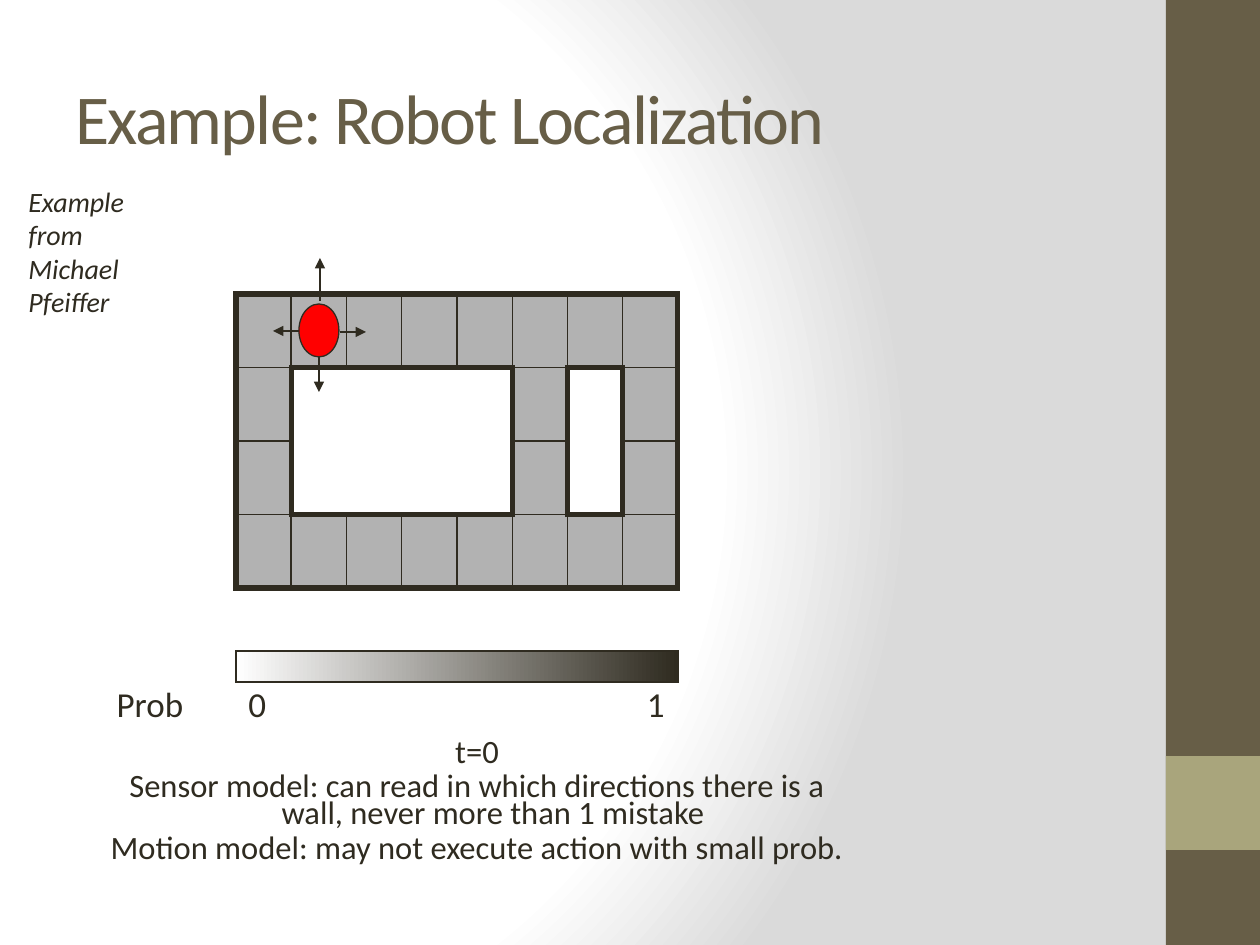
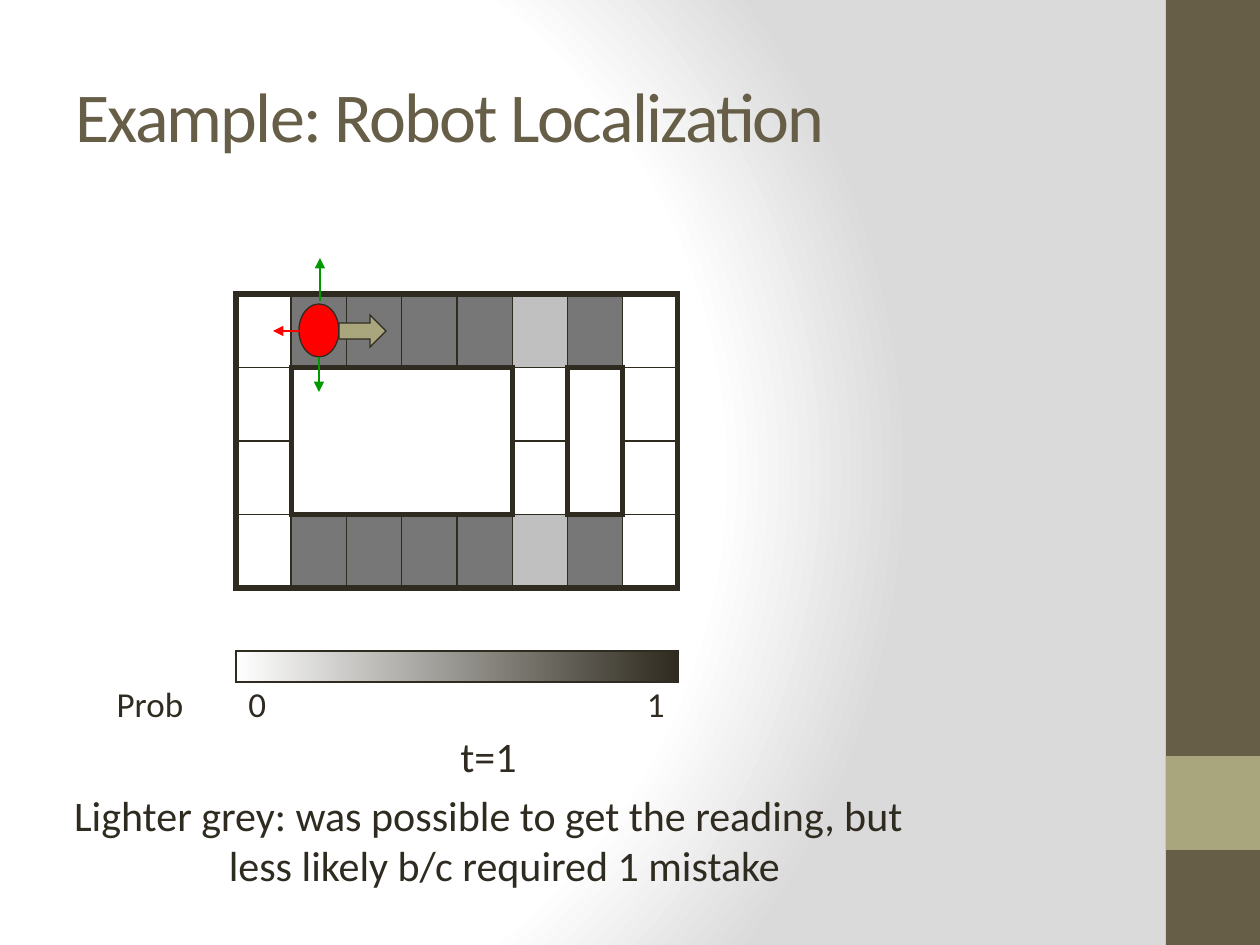
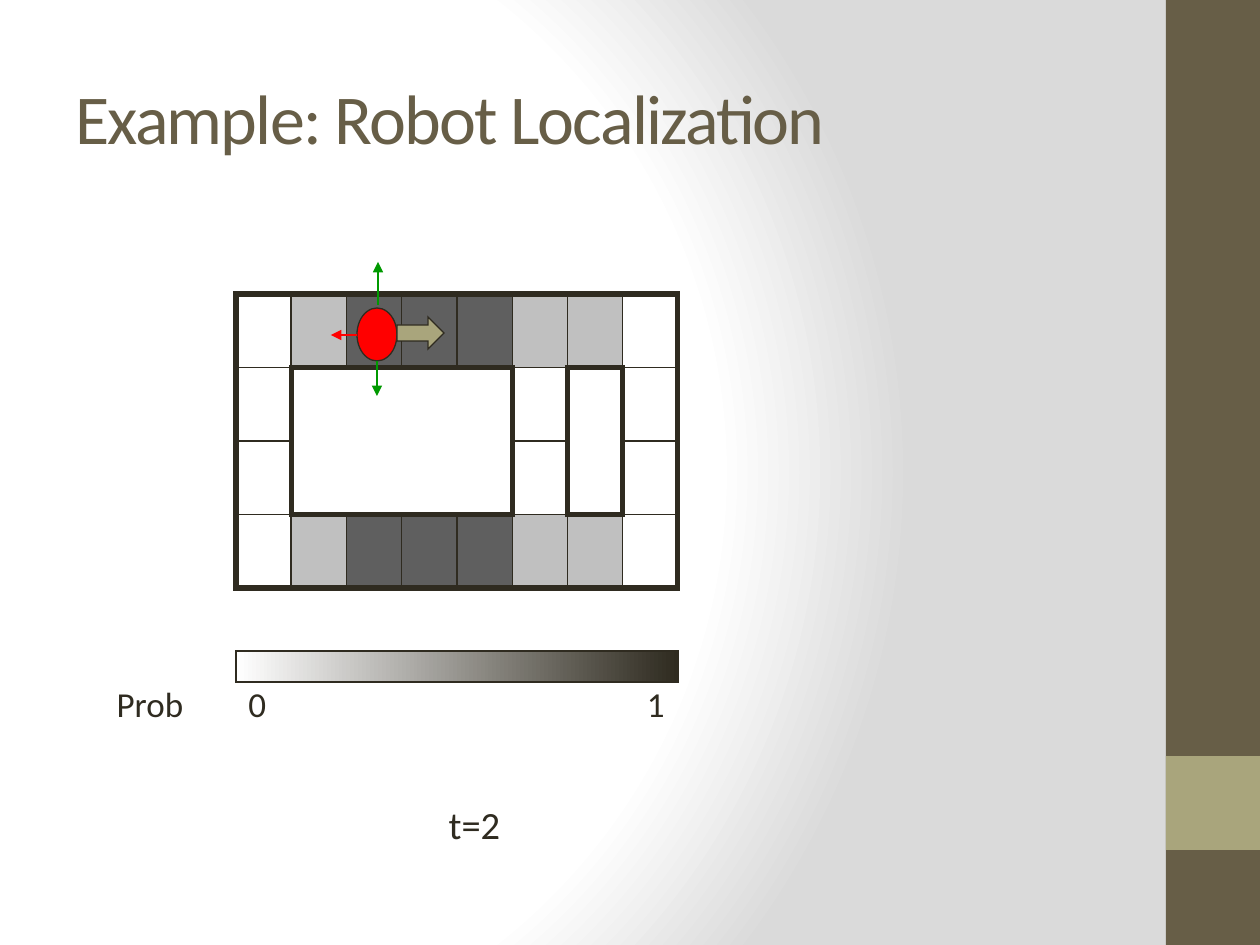
from lxml import etree
from pptx import Presentation
from pptx.dml.color import RGBColor
from pptx.enum.shapes import MSO_CONNECTOR, MSO_SHAPE
from pptx.enum.text import MSO_ANCHOR, PP_ALIGN
from pptx.oxml import parse_xml
from pptx.oxml.ns import nsdecls, qn
from pptx.util import Pt

RECT, OVAL, BLOCK_ARROW = MSO_SHAPE.RECTANGLE, MSO_SHAPE.OVAL, MSO_SHAPE.RIGHT_ARROW
STRAIGHT = MSO_CONNECTOR.STRAIGHT
LEFT, CENTER, RIGHT = PP_ALIGN.LEFT, PP_ALIGN.CENTER, PP_ALIGN.RIGHT
TOP, MIDDLE = MSO_ANCHOR.TOP, MSO_ANCHOR.MIDDLE

PX = 914400 / 126
FONT = "Calibri"
COLORS = {
    "ink": "2F2B20", "brown": "675E47", "olive": "A9A57C", "white": "FFFFFF",
    "backdrop": "DADADA", "red": "FF0000", "green": "009900",
    "even": "B2B2B2", "light": "C0C0C0", "dark": "777777", "darker": "5F5F5F",
}
SHADES = {"e": "even", "l": "light", "d": "dark", "D": "darker", "-": None}
WALL = "#"

GRID_X, GRID_Y, GRID_W, GRID_H = 236, 294, 442, 294
COLUMNS, ROWS = 8, 4
COLUMN_X = [GRID_X + GRID_W * i / COLUMNS for i in range(COLUMNS + 1)]
ROW_Y = [GRID_Y + GRID_H * i / ROWS for i in range(ROWS + 1)]

SLIDES = [
    {
        "title_y": 38, "edge_row": "eeeeeeee", "middle_row": "e####e#e",
        "robot": (299, 304), "sensor": "ink", "blocked": "ink", "move_y": None,
        "caption": ["t=0",
                    "Sensor model: can read in which directions there is a wall, "
                    "never more than 1 mistake",
                    "Motion model: may not execute action with small prob."],
        "caption_at": (69, 735, 801, 175),
        "caption_format": {"size": 18.6, "line_spacing": 0.7, "before": 4},
        "credit": "Example from Michael Pfeiffer",
    },
    {
        "title_y": 35, "edge_row": "-ddddld-", "middle_row": "-####-#-",
        "robot": (299, 304), "sensor": "green", "blocked": "red", "move_y": 315,
        "caption": ["t=1",
                    "Lighter grey: was possible to get the reading, but less likely "
                    "b/c required 1 mistake"],
        "caption_at": (40, 724, 882, 165),
        "caption_format": {"size": 24, "before": 5},
    },
    {
        "title_y": 38, "edge_row": "-lDDDll-", "middle_row": "-####-#-",
        "robot": (357, 308), "sensor": "green", "blocked": "red", "move_y": 317,
        "caption": ["t=2"],
        "caption_at": (65, 795, 804, 126),
        "caption_format": {"size": 22, "before": 5},
    },
]


def add_text(slide, lines, x, y, w, h, size=20, color="ink", align=LEFT, anchor=TOP,
             wrap=True, italic=False, tracking=None, line_spacing=None, before=0,
             margin=0, indent=0):
    box = slide.shapes.add_textbox(*[round(v * PX) for v in (x, y, w, h)])
    frame = box.text_frame
    frame.word_wrap = wrap
    frame.vertical_anchor = anchor
    for i, line in enumerate(lines):
        para = frame.paragraphs[0] if i == 0 else frame.add_paragraph()
        para.alignment = align
        para.space_before = Pt(before)
        if line_spacing:
            para.line_spacing = line_spacing
        if margin:
            properties = para._p.get_or_add_pPr()
            properties.set("marL", str(round(margin * PX)))
            properties.set("indent", str(round(indent * PX)))
        span = para.add_run()
        span.text = line
        span.font.name = FONT
        span.font.size = Pt(size)
        span.font.italic = italic
        span.font.color.rgb = RGBColor.from_string(COLORS[color])
        if tracking:
            span.font._element.set("spc", str(tracking))


def add_box(slide, preset, x, y, w, h, fill=None, weight=0.75):
    """Add a shape; no fill color leaves it open, zero weight leaves out the line."""
    shape = slide.shapes.add_shape(preset, *[round(v * PX) for v in (x, y, w, h)])
    shape.shadow.inherit = False
    if fill:
        shape.fill.solid()
        shape.fill.fore_color.rgb = RGBColor.from_string(COLORS[fill])
    else:
        shape.fill.background()
    if weight:
        shape.line.width = Pt(weight)
        shape.line.color.rgb = RGBColor.from_string(COLORS["ink"])
        etree.SubElement(shape.line._get_or_add_ln(), qn("a:miter"), lim="800000")
    else:
        shape.line.fill.background()
    return shape


deck = Presentation()
deck.slide_width, deck.slide_height = round(1260 * PX), round(945 * PX)
blank = deck.slide_layouts[6]

# Radial backdrop, shared through the master
master = deck.slide_master
master.background.fill.solid()
solid = next(master.element.iter(qn("p:bgPr"))).find(qn("a:solidFill"))
stops = "".join(
    f'<a:gs pos="{position}"><a:srgbClr val="{COLORS[name]}"/></a:gs>'
    for position, name in [(0, "white"), (75000, "white"), (100000, "backdrop")])
solid.getparent().replace(solid, parse_xml(
    f'<a:gradFill {nsdecls("a")} rotWithShape="1"><a:gsLst>{stops}</a:gsLst>'
    '<a:path path="circle"><a:fillToRect l="20000" t="50000" r="100000" b="50000"/>'
    '</a:path></a:gradFill>'))

for content in SLIDES:
    slide = deck.slides.add_slide(blank)

    # Side band, title and caption
    add_box(slide, RECT, 1166, 0, 94, 945, fill="brown", weight=0)
    add_box(slide, RECT, 1166, 756, 94, 94, fill="olive", weight=0)
    add_text(slide, ["Example: Robot Localization"], 63, content["title_y"], 1050, 158,
             size=40, color="brown", anchor=MIDDLE, tracking=-100)
    add_text(slide, content["caption"], *content["caption_at"], align=CENTER,
             margin=47, indent=-32, **content["caption_format"])

    # Map cells
    edge, middle = content["edge_row"], content["middle_row"]
    for row, codes in enumerate([edge, middle, middle, edge]):
        for column, code in enumerate(codes):
            if code != WALL:
                x, y = COLUMN_X[column], ROW_Y[row]
                add_box(slide, RECT, x, y, COLUMN_X[column + 1] - x, ROW_Y[row + 1] - y,
                        fill=SHADES[code])

    # Walls, as first and last grid line in each direction
    for left, right, top, bottom, fill in [
            (1, 5, 1, 3, "white"), (0, 8, 0, 4, None), (6, 7, 1, 3, None)]:
        x, y = COLUMN_X[left], ROW_Y[top]
        add_box(slide, RECT, x, y, COLUMN_X[right] - x, ROW_Y[bottom] - y,
                fill=fill, weight=3)

    # Probability scale
    scale = add_box(slide, RECT, GRID_X, 651, GRID_W, 31)
    scale.fill.gradient()
    scale.fill.gradient_angle = 0
    for stop, name in zip(scale.fill.gradient_stops, ["white", "ink"]):
        stop.color.rgb = RGBColor.from_string(COLORS[name])
    for label, x, w, align in [("1", 457, 220, RIGHT), ("0", GRID_X, 220, LEFT),
                               ("Prob", 79, 142, CENTER)]:
        add_text(slide, [label], x, 682, w, 42, align=align, anchor=MIDDLE, wrap=False)

    # Robot with its sensor readings and its move
    robot_x, robot_y = content["robot"]
    add_box(slide, OVAL, robot_x, robot_y, 40, 53, fill="red")
    readings = [(21, -3, 21, -46, content["sensor"]), (20, 53, 20, 88, content["sensor"]),
                (0, 27, -26, 27, content["blocked"])]
    if content["move_y"]:
        add_box(slide, BLOCK_ARROW, robot_x + 40, content["move_y"], 47, 32, fill="olive")
    else:
        readings.append((41, 28, 67, 28, content["blocked"]))
    for x1, y1, x2, y2, color in readings:
        ends = (robot_x + x1, robot_y + y1, robot_x + x2, robot_y + y2)
        arrow = slide.shapes.add_connector(STRAIGHT, *[round(v * PX) for v in ends])
        arrow.line.width = Pt(0.75)
        arrow.line.color.rgb = RGBColor.from_string(COLORS[color])
        etree.SubElement(arrow.line._get_or_add_ln(), qn("a:tailEnd"), type="triangle")
        etree.SubElement(arrow._element.spPr, qn("a:effectLst"))

    if "credit" in content:
        add_text(slide, [content["credit"]], 16, 178, 174, 149, size=16, italic=True,
                 before=8)

deck.save("out.pptx")
